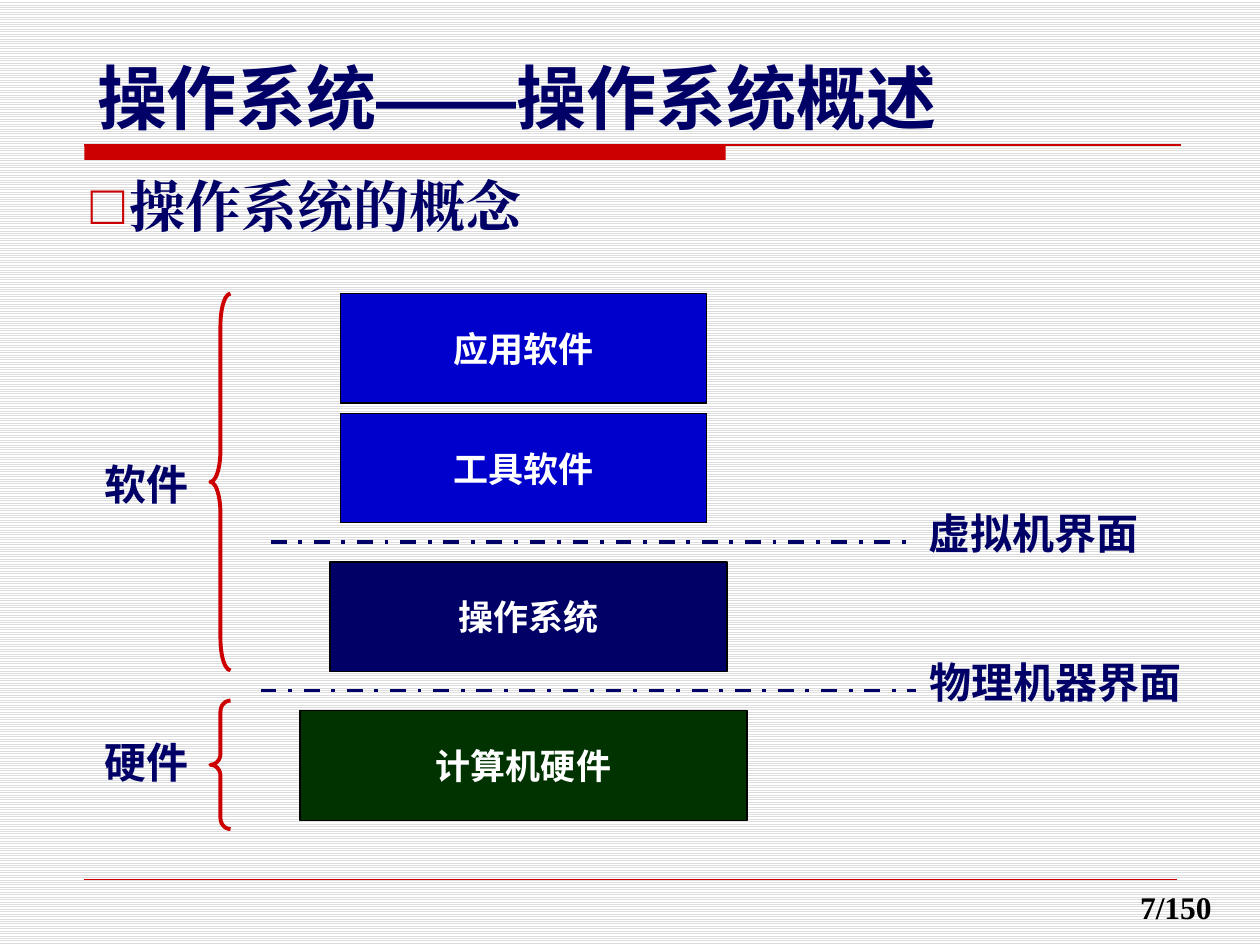
from lxml import etree
from pptx import Presentation
from pptx.dml.color import RGBColor
from pptx.enum.dml import MSO_LINE, MSO_PATTERN
from pptx.enum.shapes import MSO_CONNECTOR, MSO_SHAPE
from pptx.enum.text import MSO_ANCHOR, MSO_AUTO_SIZE, PP_ALIGN
from pptx.oxml.ns import qn
from pptx.util import Inches, Pt

STRAIGHT = MSO_CONNECTOR.STRAIGHT
RECTANGLE = MSO_SHAPE.RECTANGLE
LEFT_BRACE = MSO_SHAPE.LEFT_BRACE
DASH_DOT = MSO_LINE.DASH_DOT
LIGHT_HORIZONTAL = MSO_PATTERN.LIGHT_HORIZONTAL
TOP, MIDDLE = MSO_ANCHOR.TOP, MSO_ANCHOR.MIDDLE
LEFT, CENTER = PP_ALIGN.LEFT, PP_ALIGN.CENTER
FIXED_SIZE = MSO_AUTO_SIZE.NONE

SANS, SERIF = "DejaVu Sans", "Times New Roman"
RED, NAVY, BLUE, GREEN = "CC0000", "000066", "0000CC", "003300"
BLACK, WHITE = "000000", "FFFFFF"


def color(hex_code):
    return RGBColor.from_string(hex_code)


def place(shape, left, top, width, height):
    shape.left, shape.top = Inches(left), Inches(top)
    shape.width, shape.height = Inches(width), Inches(height)


def write(shape, *parts, size=24, font=SANS, ink=NAVY, align=LEFT,
          anchor=TOP, wrap=False):
    """Write one bold paragraph; a part is a text or a (text, font) pair."""
    frame = shape.text_frame
    frame.word_wrap = wrap
    frame.auto_size = FIXED_SIZE
    frame.vertical_anchor = anchor
    paragraph = frame.paragraphs[0]
    paragraph.alignment = align
    for part in parts:
        words, face = (part, font) if isinstance(part, str) else part
        run = paragraph.add_run()
        run.text = words
        run.font.name = face
        run.font.size = Pt(size)
        run.font.bold = True
        run.font.color.rgb = color(ink)
        east_asian = etree.SubElement(run.font._element, qn("a:ea"))
        east_asian.set("typeface", face)
    return paragraph


def add_label(slide, words, left, top, width, height=0.5, **text_format):
    label = slide.shapes.add_textbox(
        Inches(left), Inches(top), Inches(width), Inches(height))
    write(label, words, **text_format)


def add_line(slide, left, right, y, ink, weight, dash=None):
    line = slide.shapes.add_connector(
        STRAIGHT, Inches(left), Inches(y), Inches(right), Inches(y))
    line.line.color.rgb = color(ink)
    line.line.width = Pt(weight)
    if dash:
        line.line.dash_style = dash
    etree.SubElement(line._element.spPr, qn("a:effectLst"))


def add_preset(slide, preset, left, top, width, height, fill=None,
               outline=None, weight=0.75):
    shape = slide.shapes.add_shape(
        preset, Inches(left), Inches(top), Inches(width), Inches(height))
    shape.shadow.inherit = False
    if fill:
        shape.fill.solid()
        shape.fill.fore_color.rgb = color(fill)
    else:
        shape.fill.background()
    if outline:
        shape.line.color.rgb = color(outline)
        shape.line.width = Pt(weight)
    else:
        shape.line.fill.background()
    return shape


def set_background(slide):
    fill = slide.background.fill
    fill.patterned()
    fill.pattern = LIGHT_HORIZONTAL
    fill.fore_color.rgb = color("DDDDDD")
    fill.back_color.rgb = color(WHITE)


def add_header(slide, left, top):
    title = slide.shapes.title
    place(title, left, top, 6.89, 0.77)
    write(title, "操作系统", ("——", "Arial"), "操作系统概述", size=40)
    rule_y = top + 0.77
    add_preset(slide, RECTANGLE, left, rule_y, 5.09, 0.12, fill=RED)
    add_line(slide, left, left + 8.7, rule_y, RED, 0.75)


def add_topic(slide, left, top, width, height):
    topic = slide.placeholders[1]
    place(topic, left, top, width, height)
    paragraph = write(topic, "操作系统的概念", size=32, font=SERIF, wrap=True)
    paragraph.space_before = Pt(6.4)
    properties = paragraph._p.get_or_add_pPr()
    properties.set("marL", str(Inches(0.31)))
    properties.set("indent", str(Inches(-0.31)))
    bullet_color = etree.SubElement(properties, qn("a:buClr"))
    etree.SubElement(bullet_color, qn("a:srgbClr")).set("val", RED)
    etree.SubElement(properties, qn("a:buChar")).set("char", "□")


def add_layer_diagram(slide, left, top):
    layers = [("计算机硬件", 1.65, 3.31, 3.55, GREEN),
              ("操作系统", 1.89, 2.13, 3.15, NAVY),
              ("工具软件", 1.97, 0.95, 2.91, BLUE),
              ("应用软件", 1.97, 0, 2.91, BLUE)]
    for name, x, y, width, fill in layers:
        layer = add_preset(slide, RECTANGLE, left + x, top + y, width, 0.87,
                           fill=fill, outline=BLACK)
        write(layer, name, size=20, ink=WHITE, align=CENTER, anchor=MIDDLE)

    interfaces = [("物理机器界面", 1.34, 6.54, 3.15, 6.55, 2.21),
                  ("虚拟机界面", 1.42, 6.48, 1.97, 6.54, 1.88)]
    for name, start, end, y, label_x, label_width in interfaces:
        add_line(slide, left + start, left + end, top + y, NAVY, 2.25, DASH_DOT)
        add_label(slide, name, left + label_x, top + y - 0.32, label_width)

    groups = [("硬件", 3.23, 1.02, 3.47, 0.54),
              ("软件", 0, 2.99, 1.26, 1.58)]
    for name, y, height, label_y, curve in groups:
        brace = add_preset(slide, LEFT_BRACE, left + 0.94, top + y, 0.16, height,
                           outline=RED, weight=2.25)
        brace.adjustments[0] = curve
        add_label(slide, name, left, top + label_y, 0.87)


def add_footer(slide, left, top):
    add_line(slide, left, left + 8.67, top, RED, 0.25)
    add_label(slide, "7/150", left + 8.28, top + 0.02, 0.94, 0.41,
              size=18, font=SERIF, ink=BLACK)


def main():
    deck = Presentation()
    deck.slide_width, deck.slide_height = Inches(10), Inches(7.5)
    slide = deck.slides.add_slide(deck.slide_layouts[1])
    set_background(slide)
    add_header(slide, 0.67, 0.38)
    add_footer(slide, 0.67, 6.98)
    add_topic(slide, 0.62, 1.31, 9.03, 5.83)
    add_layer_diagram(slide, 0.73, 2.33)
    deck.save("out.pptx")


if __name__ == "__main__":
    main()
